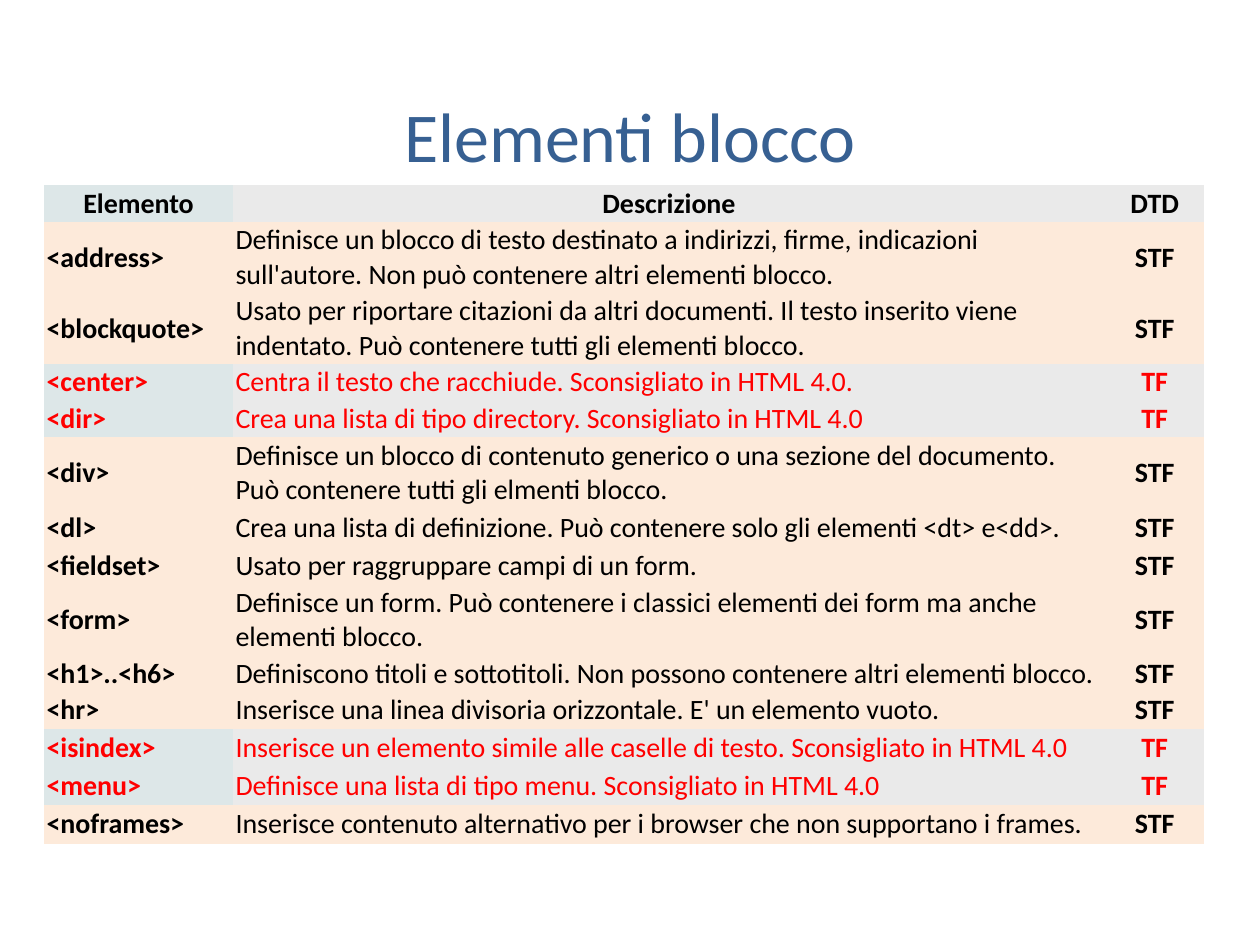
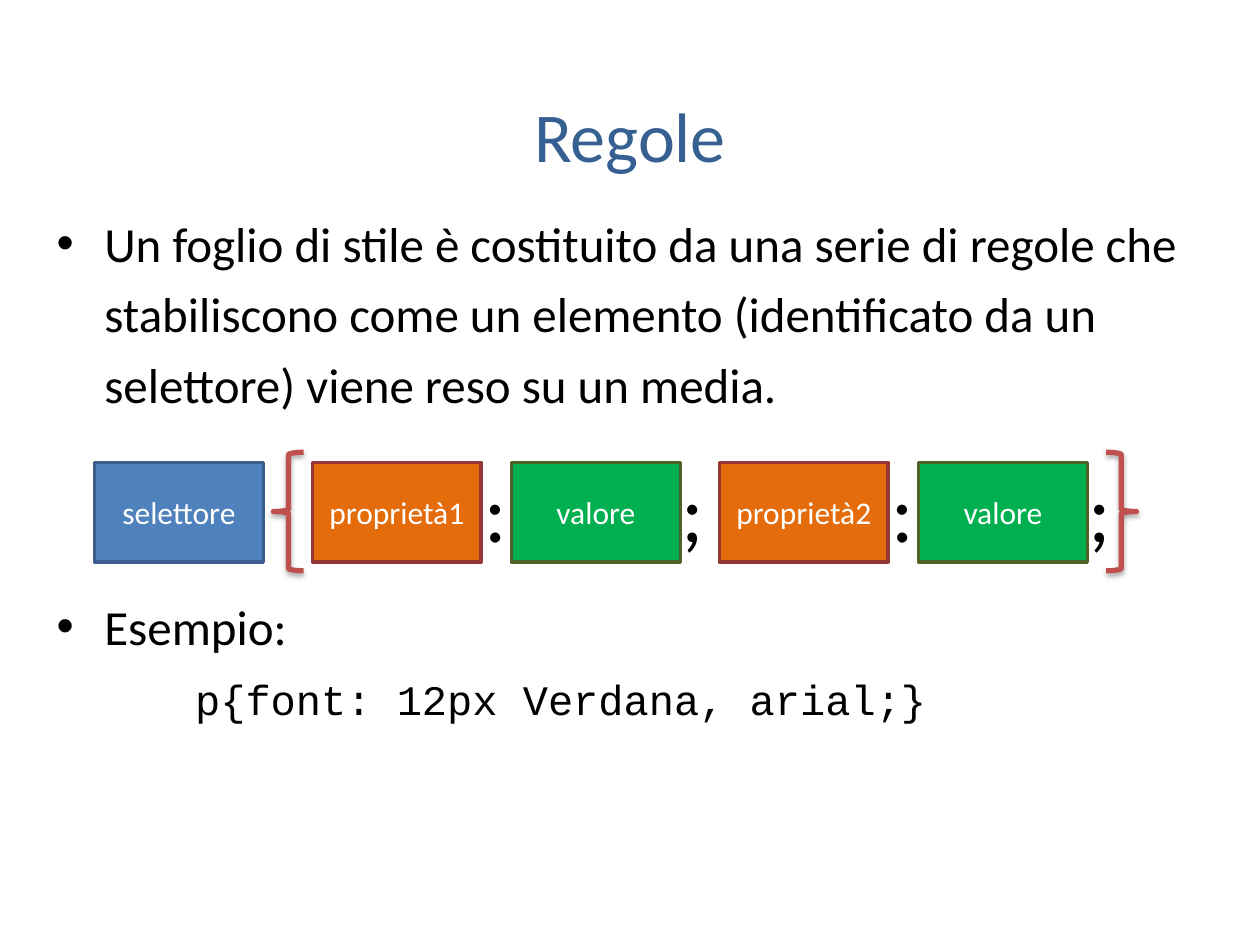
from dataclasses import dataclass

from lxml.etree import SubElement
from pptx import Presentation
from pptx.dml.color import RGBColor
from pptx.enum.shapes import MSO_SHAPE as Shape
from pptx.enum.text import MSO_ANCHOR as Anchor, PP_ALIGN as Align
from pptx.oxml.ns import qn
from pptx.util import Inches, Pt


@dataclass(frozen=True)
class Theme:
    font: str = "Calibri"
    code_font: str = "Courier New"
    title_color: str = "376092"
    text: str = "000000"
    light_text: str = "FFFFFF"
    deprecated: str = "FF0000"
    row_fill: str = "FDEADA"
    grey_fill: str = "EAEAEA"
    label_fill: str = "DDE7E8"
    selector: tuple = ("4F81BD", "3A5F8C")
    property: tuple = ("E46C0A", "953735")
    value: tuple = ("00B050", "4F6228")
    brace: str = "C0504D"
    title_size: int = 40
    body_size: int = 28
    code_size: int = 24
    box_size: int = 18
    table_size: int = 16
    mark_size: int = 48


theme = Theme()


def write(paragraph, text, size, color=theme.text, font=theme.font, bold=False, align=Align.LEFT):
    paragraph.alignment = align
    run = paragraph.add_run()
    run.text = text
    run.font.size = Pt(size)
    run.font.name = font
    run.font.bold = bold
    run.font.color.rgb = RGBColor.from_string(color)


def add_titled_slide(presentation, title_text):
    slide = presentation.slides.add_slide(presentation.slide_layouts[5])
    title = slide.shapes.title
    title.left, title.top = Inches(0.5), Inches(0.52)
    title.width, title.height = Inches(9), Inches(1.1)
    title.text_frame.vertical_anchor = Anchor.MIDDLE
    write(title.text_frame.paragraphs[0], title_text, theme.title_size,
          color=theme.title_color, align=Align.CENTER)
    return slide


presentation = Presentation()
presentation.slide_width, presentation.slide_height = Inches(10), Inches(7.5)

slide = add_titled_slide(presentation, "Elementi blocco")

single, roomy, double = 0.29, 0.31, 0.56
table_rows = [
    ("Elemento", "Descrizione", "DTD", single),
    ("<address>", "Definisce un blocco di testo destinato a indirizzi, firme, indicazioni "
     "sull'autore. Non può contenere altri elementi blocco.", "STF", double),
    ("<blockquote>", "Usato per riportare citazioni da altri documenti. Il testo inserito "
     "viene indentato. Può contenere tutti gli elementi blocco.", "STF", double),
    ("<center>", "Centra il testo che racchiude. Sconsigliato in HTML 4.0.", "TF", single),
    ("<dir>", "Crea una lista di tipo directory. Sconsigliato in HTML 4.0", "TF", single),
    ("<div>", "Definisce un blocco di contenuto generico o una sezione del documento. "
     "Può contenere tutti gli elmenti blocco.", "STF", double),
    ("<dl>", "Crea una lista di definizione. Può contenere solo gli elementi <dt> e<dd>.",
     "STF", roomy),
    ("<fieldset>", "Usato per raggruppare campi di un form.", "STF", single),
    ("<form>", "Definisce un form. Può contenere i classici elementi dei form ma anche "
     "elementi blocco.", "STF", double),
    ("<h1>..<h6>", "Definiscono titoli e sottotitoli. Non possono contenere altri elementi "
     "blocco.", "STF", single),
    ("<hr>", "Inserisce una linea divisoria orizzontale. E' un elemento vuoto.", "STF", single),
    ("<isindex>", "Inserisce un elemento simile alle caselle di testo. Sconsigliato in "
     "HTML 4.0", "TF", roomy),
    ("<menu>", "Definisce una lista di tipo menu. Sconsigliato in HTML 4.0", "TF", single),
    ("<noframes>", "Inserisce contenuto alternativo per i browser che non supportano i "
     "frames.", "STF", roomy),
]
table_height = sum(row[-1] for row in table_rows)
table = slide.shapes.add_table(len(table_rows), 3, Inches(0.35), Inches(1.47),
                               Inches(9.21), Inches(table_height)).table
table.first_row = table.horz_banding = False
style_id = table._tbl.tblPr.find(qn("a:tableStyleId"))
style_id.text = "{2D5ABB26-0587-4C30-8999-92F81FD0307C}"
for column, width in zip(table.columns, (1.5, 6.92, 0.79)):
    column.width = Inches(width)

for row_index, (*texts, height) in enumerate(table_rows):
    table.rows[row_index].height = Inches(height)
    is_header = row_index == 0
    is_deprecated = texts[-1] == "TF"
    for column_index, text in enumerate(texts):
        cell = table.cell(row_index, column_index)
        cell.margin_left = cell.margin_right = Inches(0.02)
        cell.margin_top = cell.margin_bottom = Inches(0.01)
        cell.vertical_anchor = Anchor.MIDDLE
        fill = theme.row_fill
        if is_header or is_deprecated:
            fill = theme.label_fill if column_index == 0 else theme.grey_fill
        cell.fill.solid()
        cell.fill.fore_color.rgb = RGBColor.from_string(fill)
        write(cell.text_frame.paragraphs[0], text, theme.table_size,
              color=theme.deprecated if is_deprecated else theme.text,
              bold=is_header or column_index != 1,
              align=Align.CENTER if is_header or column_index == 2 else Align.LEFT)

slide = add_titled_slide(presentation, "Regole")

body = slide.shapes.add_textbox(Inches(0.35), Inches(1.55), Inches(9.21), Inches(5.12))
body.text_frame.word_wrap = True
body_lines = [
    ("Un foglio di stile è costituito da una serie di regole che stabiliscono come un "
     "elemento (identificato da un selettore) viene reso su un media.",
     theme.body_size, theme.font, 5.6, True),
    ("Esempio:", theme.body_size, theme.font, 98, True),
    ("p{font: 12px Verdana, arial;}", theme.code_size, theme.code_font, 4.8, False),
]
for index, (text, size, font, space_before, bulleted) in enumerate(body_lines):
    paragraph = body.text_frame.add_paragraph() if index else body.text_frame.paragraphs[0]
    paragraph.line_spacing = 1.2
    paragraph.space_before = Pt(space_before)
    write(paragraph, text, size, font=font)
    properties = paragraph._p.get_or_add_pPr()
    properties.set("marL", str(Inches(0.38 if bulleted else 1.1)))
    properties.set("indent", str(Inches(-0.38 if bulleted else 0)))
    if bulleted:
        SubElement(properties, qn("a:buFont"), typeface="Arial")
        SubElement(properties, qn("a:buChar"), char="•")

boxes = [("selettore", 0.75, theme.selector)]
marks = []
for pair_index, pair_left in enumerate((2.48, 5.71), start=1):
    boxes.append((f"proprietà{pair_index}", pair_left, theme.property))
    boxes.append(("valore", pair_left + 1.58, theme.value))
    marks.append((":", pair_left + 1.27))
    marks.append((";", pair_left + 2.83))

for text, left, (fill, outline) in boxes:
    box = slide.shapes.add_shape(Shape.RECTANGLE, Inches(left), Inches(3.67),
                                 Inches(1.34), Inches(0.79))
    box.shadow.inherit = False
    box.fill.solid()
    box.fill.fore_color.rgb = RGBColor.from_string(fill)
    box.line.color.rgb = RGBColor.from_string(outline)
    box.line.width = Pt(2)
    box.text_frame.vertical_anchor = Anchor.MIDDLE
    write(box.text_frame.paragraphs[0], text, theme.box_size,
          color=theme.light_text, align=Align.CENTER)

for left, is_closing in ((2.17, False), (8.78, True)):
    brace = slide.shapes.add_shape(Shape.LEFT_BRACE, Inches(left), Inches(3.59),
                                   Inches(0.24), Inches(0.94))
    brace.fill.background()
    brace.line.color.rgb = RGBColor.from_string(theme.brace)
    brace.line.width = Pt(3)
    brace.shadow.inherit = False
    shape_properties = brace._element.spPr
    if is_closing:
        shape_properties.find(qn("a:xfrm")).set("flipH", "1")
    shadow = SubElement(shape_properties.find(qn("a:effectLst")), qn("a:outerShdw"),
                        blurRad=str(Pt(3.1)), dist=str(Pt(1.8)), dir="5400000",
                        rotWithShape="0")
    shadow_color = SubElement(shadow, qn("a:srgbClr"), val=theme.text)
    SubElement(shadow_color, qn("a:alpha"), val="35000")

for text, left in marks:
    mark = slide.shapes.add_textbox(Inches(left), Inches(3.59), Inches(0.39), Inches(0.91))
    mark.text_frame.word_wrap = False
    write(mark.text_frame.paragraphs[0], text, theme.mark_size)

presentation.save("out.pptx")
